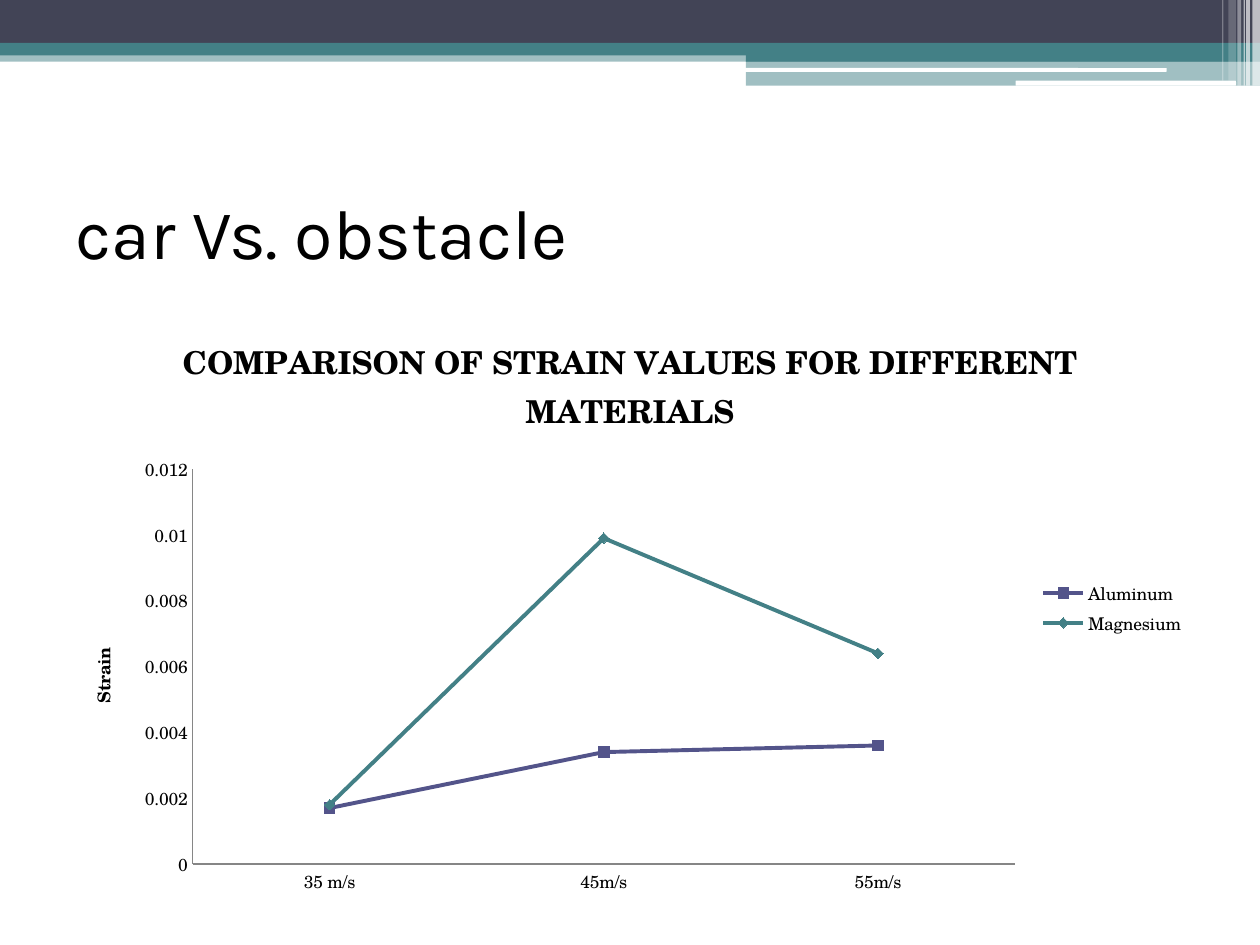
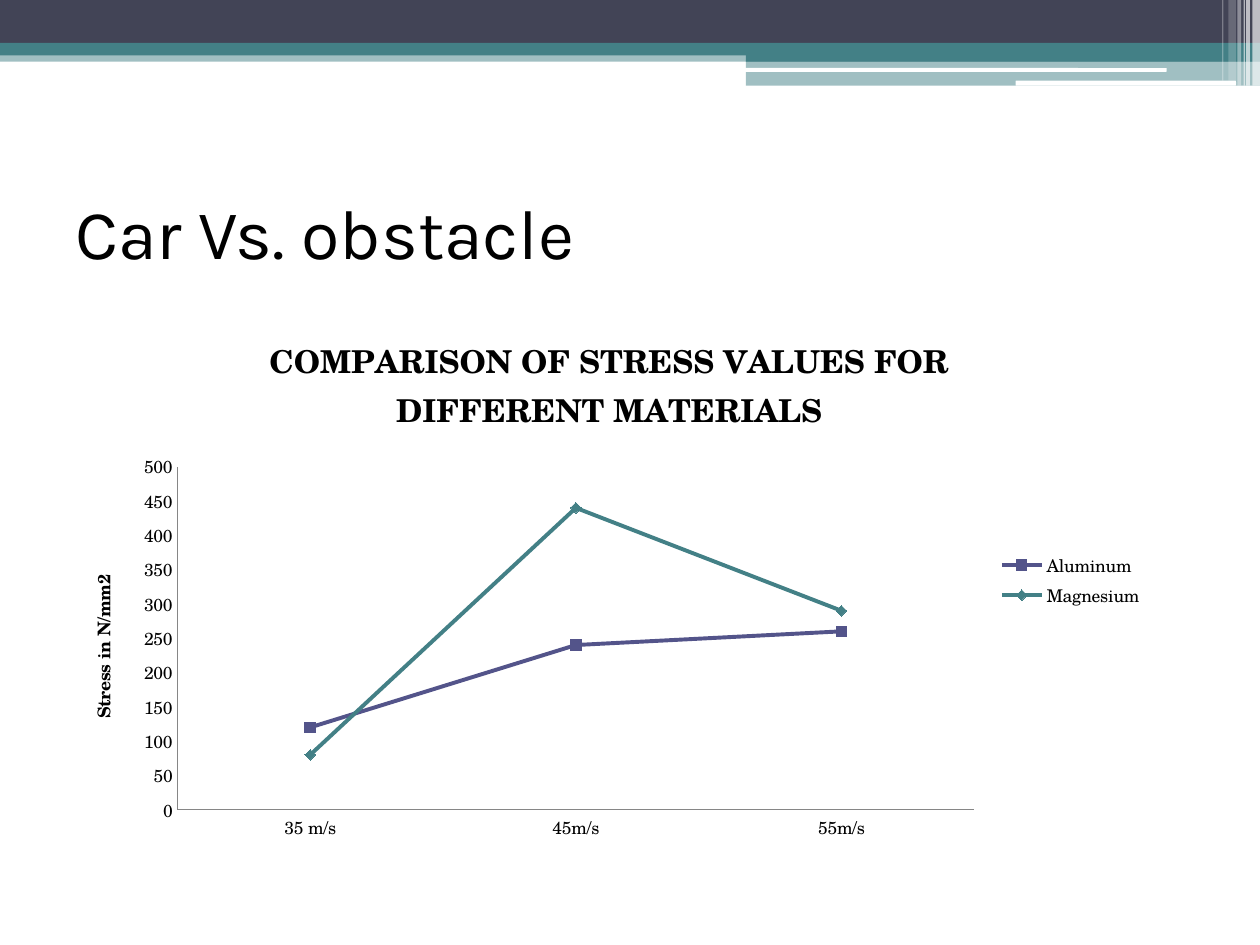
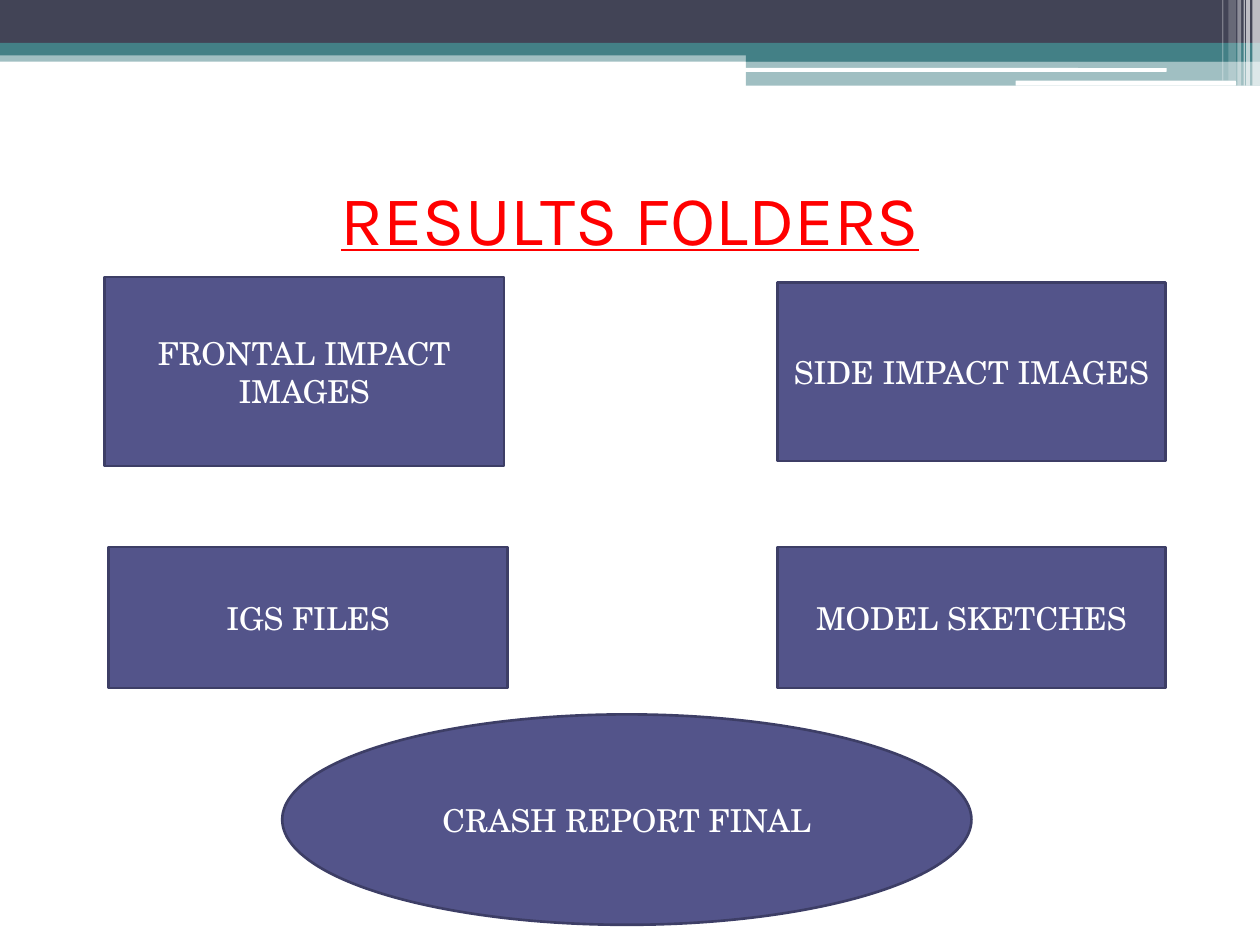
"""Build three slides of crash test results with a shared banded header."""
from dataclasses import dataclass

from lxml.etree import SubElement
from pptx import Presentation
from pptx.chart.data import CategoryChartData
from pptx.dml.color import RGBColor
from pptx.enum.chart import XL_CHART_TYPE as Chart
from pptx.enum.chart import XL_LEGEND_POSITION as Legend
from pptx.enum.chart import XL_MARKER_STYLE as Marker
from pptx.enum.chart import XL_TICK_MARK as Tick
from pptx.enum.shapes import MSO_SHAPE as Shape
from pptx.enum.text import MSO_ANCHOR as Anchor
from pptx.enum.text import PP_ALIGN as Align
from pptx.oxml.ns import qn
from pptx.util import Inches, Pt


@dataclass(frozen=True)
class Theme:
    """Colours, fonts and sizes of the deck."""
    navy: str = "424456"
    teal: str = "438086"
    indigo: str = "53548A"
    outline: str = "3D3E66"
    axis: str = "868686"
    black: str = "000000"
    white: str = "FFFFFF"
    red: str = "FF0000"
    title_font: str = "Karla"
    body_font: str = "TeX Gyre Schola"
    title_size: int = 40
    body_size: int = 18
    chart_size: int = 10


THEME = Theme()


@dataclass(frozen=True)
class Box:
    """A rectangle in inches."""
    left: float
    top: float
    width: float
    height: float

    def emu(self) -> tuple:
        """Return the four lengths for python-pptx."""
        return tuple(Inches(v) for v in (self.left, self.top, self.width, self.height))


@dataclass(frozen=True)
class Band:
    """A strip of the header, with its opacity in percent."""
    box: Box
    color: str
    opacity: int = 100
    kind: Shape = Shape.RECTANGLE


@dataclass(frozen=True)
class Folder:
    """A labelled results folder."""
    text: str
    box: Box
    kind: Shape = Shape.RECTANGLE


@dataclass(frozen=True)
class ChartSlide:
    """A slide with a line chart comparing the two materials."""
    title: str
    heading: str
    axis_title: str
    box: Box
    aluminum: tuple
    magnesium: tuple
    top_value: float
    step: float


BANDS = (
    Band(Box(0, 0.4, 10, 0.09), THEME.teal, 50),
    Band(Box(0, 0, 10, 0.34), THEME.navy),
    Band(Box(0, 0.34, 10, 0.1), THEME.teal),
    Band(Box(5.92, 0.39, 4.08, 0.1), THEME.teal),
    Band(Box(5.92, 0.48, 4.08, 0.2), THEME.teal, 50),
    Band(Box(5.91, 0.54, 3.35, 0.03), THEME.white, kind=Shape.ROUNDED_RECTANGLE),
    Band(Box(8.06, 0.64, 1.75, 0.04), THEME.white, kind=Shape.ROUNDED_RECTANGLE),
    Band(Box(9.94, 0, 0.06, 0.68), THEME.white, 65),
    Band(Box(9.89, 0, 0.03, 0.68), THEME.white, 65),
    Band(Box(9.87, 0, 0.01, 0.68), THEME.white, 60),
    Band(Box(9.82, 0, 0.03, 0.68), THEME.white, 40),
    Band(Box(9.75, 0, 0.06, 0.64), THEME.white, 20),
    Band(Box(9.7, 0, 0.01, 0.64), THEME.white, 30),
)
SPEEDS = ("35 m/s", "45m/s", "55m/s")
CHART_SLIDES = (
    ChartSlide("car Vs. obstacle", "COMPARISON OF STRAIN VALUES FOR DIFFERENT MATERIALS",
               "Strain", Box(0.5, 2.46, 9, 4.73),
               (0.0017, 0.0034, 0.0036), (0.0018, 0.0099, 0.0064), 0.012, 0.002),
    ChartSlide("Car Vs. obstacle", "COMPARISON OF STRESS VALUES FOR DIFFERENT MATERIALS",
               "Stress in N/mm2", Box(0.5, 2.46, 8.67, 4.29),
               (120, 240, 260), (80, 440, 290), 500, 50),
)
FOLDERS = (
    Folder("FRONTAL IMPACT IMAGES", Box(0.83, 2.2, 3.17, 1.5)),
    Folder("SIDE IMPACT IMAGES", Box(6.17, 2.24, 3.08, 1.42)),
    Folder("IGS FILES", Box(0.86, 4.34, 3.17, 1.12)),
    Folder("MODEL SKETCHES", Box(6.17, 4.34, 3.08, 1.12)),
    Folder("CRASH REPORT FINAL", Box(2.24, 5.67, 5.47, 1.67), Shape.OVAL),
)


def rgb(color: str) -> RGBColor:
    """Turn a hex string into a colour."""
    return RGBColor.from_string(color)


def style_font(font, size: int, color: str, name: str = THEME.body_font, bold: bool = False):
    """Set the look of a font."""
    font.size = Pt(size)
    font.bold = bold
    font.color.rgb = rgb(color)
    font.name = name


def add_filled(s, kind: Shape, box: Box, color: str):
    """Add a flat shape without a shadow."""
    sp = s.shapes.add_shape(kind, *box.emu())
    sp.shadow.inherit = False
    sp.fill.solid()
    sp.fill.fore_color.rgb = rgb(color)
    return sp


def add_header(prs, s):
    """Draw the header bands and place them on the slide master."""
    tree = prs.slide_master.element.cSld.spTree
    first = len(tree) + 100
    at = tree.index(prs.slide_master.placeholders[0].element)
    for i, band in enumerate(BANDS):
        sp = add_filled(s, band.kind, band.box, band.color)
        sp.line.fill.background()
        if band.opacity < 100:
            clr = sp.element.spPr.find(f"{qn('a:solidFill')}/{qn('a:srgbClr')}")
            SubElement(clr, qn("a:alpha"), val=str(band.opacity * 1000))
        sp.element.nvSpPr.cNvPr.set("id", str(first + i))
        tree.insert(at + i, sp.element)


def set_title(s, text: str, height: float = 1.17, color: str = THEME.black,
              align: Align = Align.LEFT):
    """Place and format the title placeholder."""
    sp = s.shapes.title
    sp.left, sp.top, sp.width, sp.height = Box(0.5, 1.25, 9, height).emu()
    tf = sp.text_frame
    tf.vertical_anchor = Anchor.MIDDLE
    p = tf.paragraphs[0]
    p.alignment = align
    r = p.add_run()
    r.text = text
    style_font(r.font, THEME.title_size, color, THEME.title_font)
    return r


def add_heading(owner, text: str, size: int):
    """Write a bold chart title or axis title."""
    r = owner.text_frame.paragraphs[0].add_run()
    r.text = text
    style_font(r.font, size, THEME.black, bold=True)


def add_line_chart(s, spec_: ChartSlide):
    """Add the line chart of the two materials."""
    data = CategoryChartData()
    data.categories = SPEEDS
    data.add_series("Aluminum", spec_.aluminum)
    data.add_series("Magnesium", spec_.magnesium)
    chart = s.shapes.add_chart(Chart.LINE_MARKERS, *spec_.box.emu(), data).chart
    style_font(chart.font, THEME.chart_size, THEME.black)
    chart.has_title = True
    add_heading(chart.chart_title, spec_.heading, THEME.body_size)
    chart.has_legend = True
    chart.legend.position = Legend.RIGHT
    chart.legend.include_in_layout = False
    for axis in (chart.category_axis, chart.value_axis):
        axis.has_major_gridlines = False
        axis.major_tick_mark = axis.minor_tick_mark = Tick.NONE
        axis.format.line.color.rgb = rgb(THEME.axis)
        axis.format.line.width = Pt(0.75)
    values = chart.value_axis
    add_heading(values.axis_title, spec_.axis_title, THEME.chart_size)
    values.minimum_scale, values.maximum_scale = 0, spec_.top_value
    values.major_unit = spec_.step
    plot = chart.plots[0]
    plot.vary_by_categories = False
    looks = ((THEME.indigo, Marker.SQUARE), (THEME.teal, Marker.DIAMOND))
    for series, (color, marker) in zip(plot.series, looks):
        series.smooth = False
        series.format.line.width = Pt(2.25)
        series.format.line.color.rgb = rgb(color)
        series.marker.style = marker
        series.marker.size = 6
        series.marker.format.fill.solid()
        series.marker.format.fill.fore_color.rgb = rgb(color)
        series.marker.format.line.color.rgb = rgb(color)


def add_folder(s, folder: Folder):
    """Add a labelled folder shape."""
    sp = add_filled(s, folder.kind, folder.box, THEME.indigo)
    sp.line.color.rgb = rgb(THEME.outline)
    sp.line.width = Pt(1.5)
    tf = sp.text_frame
    tf.word_wrap = True
    tf.vertical_anchor = Anchor.MIDDLE
    p = tf.paragraphs[0]
    p.alignment = Align.CENTER
    r = p.add_run()
    r.text = folder.text
    style_font(r.font, THEME.body_size, THEME.white)


def main():
    """Build and save the deck."""
    prs = Presentation()
    prs.slide_width, prs.slide_height = Inches(10), Inches(7.5)
    title_only = prs.slide_layouts[5]
    for item in CHART_SLIDES:
        s = prs.slides.add_slide(title_only)
        set_title(s, item.title)
        add_line_chart(s, item)
    s = prs.slides.add_slide(title_only)
    add_header(prs, s)
    r = set_title(s, "RESULTS FOLDERS", 0.95, THEME.red, Align.CENTER)
    r.font.underline = True
    for folder in FOLDERS:
        add_folder(s, folder)
    prs.save("out.pptx")


if __name__ == "__main__":
    main()
